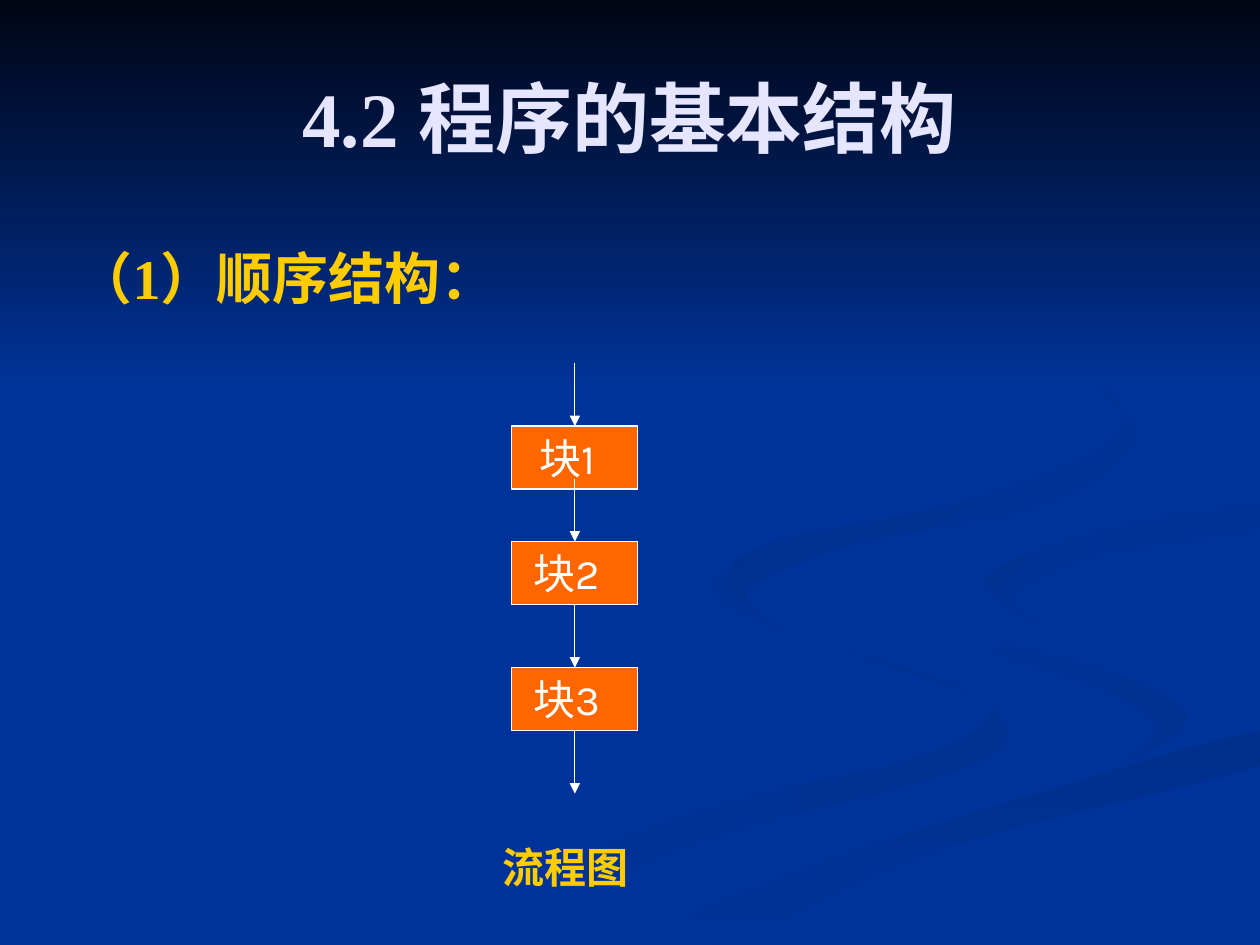
from lxml.etree import SubElement
from pptx import Presentation
from pptx.dml.color import RGBColor
from pptx.enum.shapes import MSO_CONNECTOR, MSO_SHAPE
from pptx.enum.text import MSO_ANCHOR, PP_ALIGN
from pptx.oxml.ns import qn
from pptx.util import Pt

COLORS = {
    "blue": "003399", "night": "000514", "title": "E5E5FF", "gold": "FFCC00",
    "block": "FF6600", "white": "FFFFFF", "shade": "003193",
    "road": "002F8C", "bend": "003091", "curl": "002F8E",
}
SERIF, SANS = "Times New Roman", "Karla"
MID = 328.5  # centre line of the flow chart
SIDE, TALL = 72, 36  # block size
STEPS = 5  # curve pieces between two ribbon points

# Background ribbons: start colour, end colour, clockwise angle, outline
RIBBONS = [
    ("blue", "shade", 0, [
        (414, 330), (415, 346), (489, 374), (549, 394), (566, 408),
        (523, 433), (388, 467), (216, 539), (260, 539), (406, 479),
        (544, 442), (576, 418), (545, 391), (451, 361)]),
    ("blue", "shade", 45, [
        (521, 334), (544, 364), (625, 392), (660, 415), (644, 436),
        (679, 410), (639, 385), (557, 362)]),
    ("road", "blue", 90, [
        (362, 539), (411, 539), (541, 484), (719, 438), (719, 418),
        (574, 459), (454, 499)]),
    ("bend", "blue", 45, [
        (562, 331), (595, 357), (580, 340), (632, 316), (719, 302),
        (719, 289), (623, 305)]),
    ("curl", "blue", 45, [
        (492, 310), (594, 289), (640, 261), (641, 233), (549, 168),
        (626, 215), (638, 251), (549, 287), (443, 309), (415, 333),
        (448, 360), (428, 337)]),
]


def color(name):
    return RGBColor.from_string(COLORS[name])


def curve(points):
    """Smooth closed outline through the points (Catmull-Rom)."""
    count = len(points)
    for i in range(count):
        near = [points[(i + k) % count] for k in (-1, 0, 1, 2)]
        for step in range(STEPS):
            t = step / STEPS
            yield tuple(
                b + t / 2 * (c - a + t * (2 * a - 5 * b + 4 * c - d
                                          + t * (3 * (b - c) + d - a)))
                for a, b, c, d in zip(*near))


def fade(shape, start, end, angle):
    shape.shadow.inherit = False
    shape.line.fill.background()
    shape.fill.gradient()
    shape.fill.gradient_angle = (360 - angle) % 360
    for stop, name in zip(shape.fill.gradient_stops, (start, end)):
        stop.color.rgb = color(name)


def add_ribbon(slide, start, end, angle, points):
    first, *rest = curve(points)
    pen = slide.shapes.build_freeform(*first, scale=Pt(1))
    pen.add_line_segments(rest, close=True)
    fade(pen.convert_to_shape(), start, end, angle)


def write(shape, text, size, font, tint, bold=False, align=PP_ALIGN.CENTER):
    frame = shape.text_frame
    frame.word_wrap = True
    para = frame.paragraphs[0]
    para.alignment = align
    run = para.add_run()
    run.text = text
    run.font.size, run.font.name, run.font.bold = Pt(size), font, bold
    run.font.color.rgb = color(tint)
    return para


def add_label(slide, box, text, size, font, align=PP_ALIGN.CENTER):
    label = slide.shapes.add_textbox(*map(Pt, box))
    return write(label, text, size, font, "gold", True, align)


def add_block(slide, top, text):
    block = slide.shapes.add_shape(
        MSO_SHAPE.RECTANGLE, Pt(MID - SIDE / 2), Pt(top), Pt(SIDE), Pt(TALL))
    block.shadow.inherit = False
    block.fill.solid()
    block.fill.fore_color.rgb = color("block")
    block.line.color.rgb = color("white")
    block.line.width = Pt(0.75)
    frame = block.text_frame
    frame.margin_left = frame.margin_top = frame.margin_bottom = 0
    frame.margin_right = Pt(9)
    frame.vertical_anchor = MSO_ANCHOR.MIDDLE
    write(block, text, 24, SANS, "white")


def add_arrow(slide, end):
    arrow = slide.shapes.add_connector(
        MSO_CONNECTOR.STRAIGHT, Pt(MID), Pt(end - TALL), Pt(MID), Pt(end))
    arrow.line.color.rgb = color("white")
    arrow.line.width = Pt(0.75)
    SubElement(arrow.line._get_or_add_ln(), qn("a:tailEnd"), type="triangle")
    SubElement(arrow.element.spPr, qn("a:effectLst"))


def add_title(slide, text):
    title = slide.shapes.title
    title.left, title.top, title.width, title.height = map(Pt, (36, 21.6, 648, 90))
    title.text_frame.vertical_anchor = MSO_ANCHOR.MIDDLE
    write(title, text, 44, SERIF, "title", True)
    slide.shapes.element.append(title.element)  # bring above the backdrop


def main():
    deck = Presentation()
    deck.slide_width, deck.slide_height = Pt(720), Pt(540)
    slide = deck.slides.add_slide(deck.slide_layouts[5])

    # Backdrop
    slide.background.fill.solid()
    slide.background.fill.fore_color.rgb = color("blue")
    for ribbon in RIBBONS:
        add_ribbon(slide, *ribbon)
    sky = slide.shapes.add_shape(MSO_SHAPE.RECTANGLE, 0, 0, Pt(720), Pt(222))
    fade(sky, "night", "blue", 90)

    # Headings
    add_title(slide, "4.2 程序的基本结构")
    head = add_label(slide, (36.7, 128, 648, 53), "（1）顺序结构：", 32, SERIF,
                     PP_ALIGN.LEFT)
    head.line_spacing = 1.2
    props = head._p.get_or_add_pPr()
    props.set("marL", str(Pt(27)))
    props.set("indent", str(-Pt(27)))

    # Flow chart: each arrow ends on the block below it
    for number, top in enumerate((243.5, 309.5, 381.5), 1):
        add_arrow(slide, top)
        add_block(slide, top, f"块{number}")
    add_arrow(slide, 453.5)
    add_label(slide, (263, 477.5, 120, 36), "流程图", 24, SANS)

    deck.save("out.pptx")


if __name__ == "__main__":
    main()
